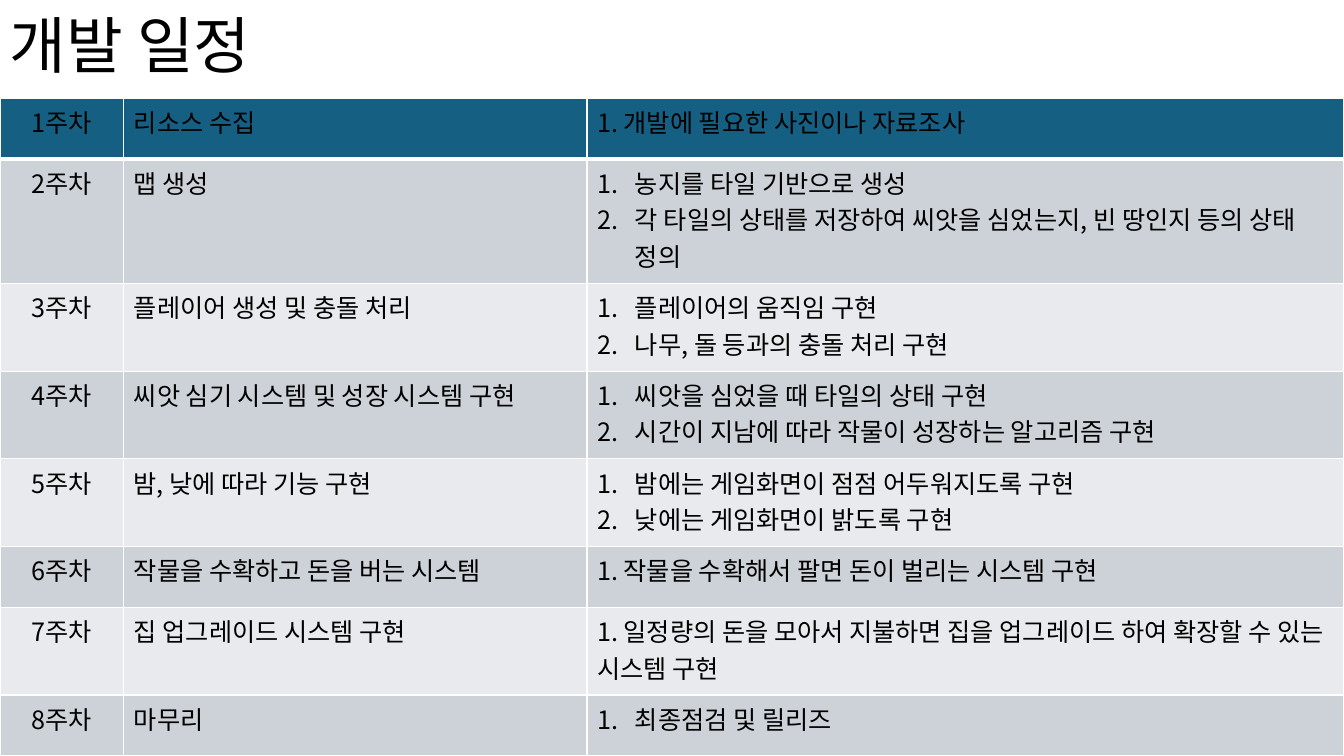
from dataclasses import dataclass

from pptx import Presentation
from pptx.dml.color import RGBColor as RGB
from pptx.enum.text import MSO_ANCHOR as Anchor, PP_ALIGN as Align
from pptx.oxml.ns import qn
from pptx.util import Pt
from lxml.etree import SubElement


@dataclass(frozen=True)
class Theme:
    font: str = "Noto Sans CJK KR"
    title_size: float = 44
    body_size: float = 18
    ink: str = "000000"
    rule: str = "FFFFFF"
    header: str = "156082"
    bands: tuple = ("E8EAED", "CCD2D8")
    thin: float = 1
    thick: float = 3
    indent: float = 27


THEME = Theme()
COLUMN_WIDTHS = (88.4, 331, 540.6)
SHORT, MEDIUM, TALL = 43.5, 62.6, 89.1

SCHEDULE = (
    (SHORT, "리소스 수집", "1. 개발에 필요한 사진이나 자료조사"),
    (TALL, "맵 생성", [
        "농지를 타일 기반으로 생성",
        "각 타일의 상태를 저장하여 씨앗을 심었는지, 빈 땅인지 등의 상태 정의",
    ]),
    (MEDIUM, "플레이어 생성 및 충돌 처리", [
        "플레이어의 움직임 구현",
        "나무, 돌 등과의 충돌 처리 구현",
    ]),
    (MEDIUM, "씨앗 심기 시스템 및 성장 시스템 구현", [
        "씨앗을 심었을 때 타일의 상태 구현",
        "시간이 지남에 따라 작물이 성장하는 알고리즘 구현",
    ]),
    (MEDIUM, "밤, 낮에 따라 기능 구현", [
        "밤에는 게임화면이 점점 어두워지도록 구현",
        "낮에는 게임화면이 밝도록 구현",
    ]),
    (SHORT, "작물을 수확하고 돈을 버는 시스템",
     "1. 작물을 수확해서 팔면 돈이 벌리는 시스템 구현"),
    (MEDIUM, "집 업그레이드 시스템 구현",
     "1. 일정량의 돈을 모아서 지불하면 집을 업그레이드 하여 확장할 수 있는 시스템 구현"),
    (SHORT, "마무리", ["최종점검 및 릴리즈"]),
)


def add_text(paragraph, text, size):
    run = paragraph.add_run()
    run.text = text
    run.font.name = THEME.font
    run.font.size = Pt(size)
    run.font.bold = False
    run.font.color.rgb = RGB.from_string(THEME.ink)
    SubElement(run.font._element, qn("a:ea"), typeface=THEME.font)


def number_paragraph(paragraph):
    properties = paragraph._p.get_or_add_pPr()
    properties.set("marL", str(Pt(THEME.indent)))
    properties.set("indent", str(-Pt(THEME.indent)))
    SubElement(properties, qn("a:buFont"), typeface="+mj-lt")
    SubElement(properties, qn("a:buAutoNum"), type="arabicPeriod")


def add_title(slide, text):
    title = slide.shapes.add_textbox(0, 0, Pt(208), Pt(70)).text_frame
    title.word_wrap = True
    title.vertical_anchor = Anchor.MIDDLE
    heading = title.paragraphs[0]
    heading.line_spacing = 0.9
    add_text(heading, text, THEME.title_size)


def style_cell(cell, color, top, bottom):
    properties = cell._tc.get_or_add_tcPr()
    sides = {"L": THEME.thin, "R": THEME.thin, "T": top, "B": bottom}
    for side, width in sides.items():
        border = SubElement(properties, qn(f"a:ln{side}"), w=str(Pt(width)))
        paint = SubElement(border, qn("a:solidFill"))
        SubElement(paint, qn("a:srgbClr"), val=THEME.rule)
    cell.fill.solid()
    cell.fill.fore_color.rgb = RGB.from_string(color)


def fill_cell(cell, content, align=None):
    numbered = isinstance(content, list)
    lines = content if numbered else [content]
    for index, line in enumerate(lines):
        frame = cell.text_frame
        paragraph = frame.add_paragraph() if index else frame.paragraphs[0]
        paragraph.alignment = align
        if numbered:
            number_paragraph(paragraph)
        add_text(paragraph, line, THEME.body_size)


def add_schedule(slide):
    total_height = sum(height for height, _, _ in SCHEDULE)
    schedule = slide.shapes.add_table(
        len(SCHEDULE), len(COLUMN_WIDTHS), 0, Pt(70),
        Pt(sum(COLUMN_WIDTHS)), Pt(total_height)).table
    schedule.first_row = False
    schedule.horz_banding = False
    for column, width in zip(schedule.columns, COLUMN_WIDTHS):
        column.width = Pt(width)
    for index, (height, topic, tasks) in enumerate(SCHEDULE):
        week = schedule.rows[index]
        week.height = Pt(height)
        color = THEME.bands[index % 2] if index else THEME.header
        top = THEME.thick if index == 1 else THEME.thin
        bottom = THEME.thin if index else THEME.thick
        for cell in week.cells:
            style_cell(cell, color, top, bottom)
        week_cell, topic_cell, tasks_cell = week.cells
        fill_cell(week_cell, f"{index + 1}주차", Align.CENTER)
        fill_cell(topic_cell, topic)
        fill_cell(tasks_cell, tasks)


def main():
    deck = Presentation()
    deck.slide_width, deck.slide_height = Pt(960), Pt(540)
    slide = deck.slides.add_slide(deck.slide_layouts[6])
    add_title(slide, "개발 일정")
    add_schedule(slide)
    deck.save("out.pptx")


if __name__ == "__main__":
    main()
